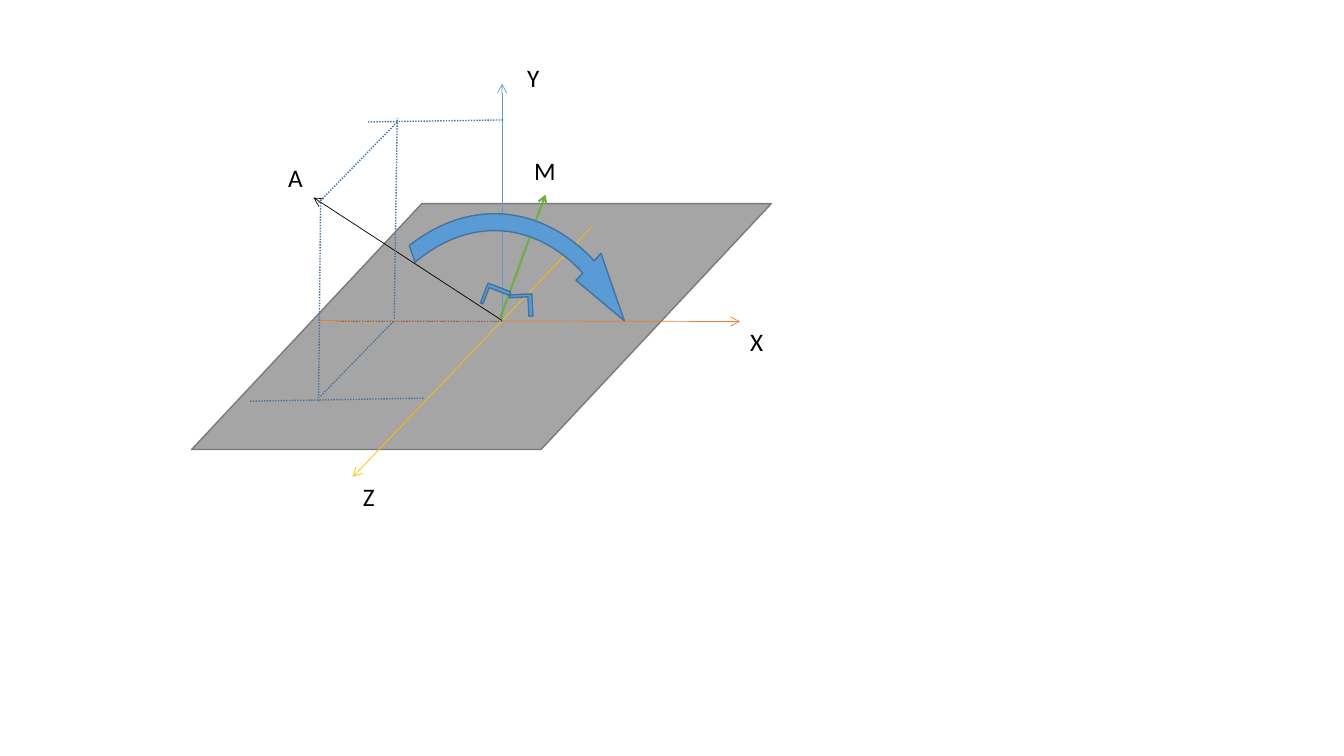
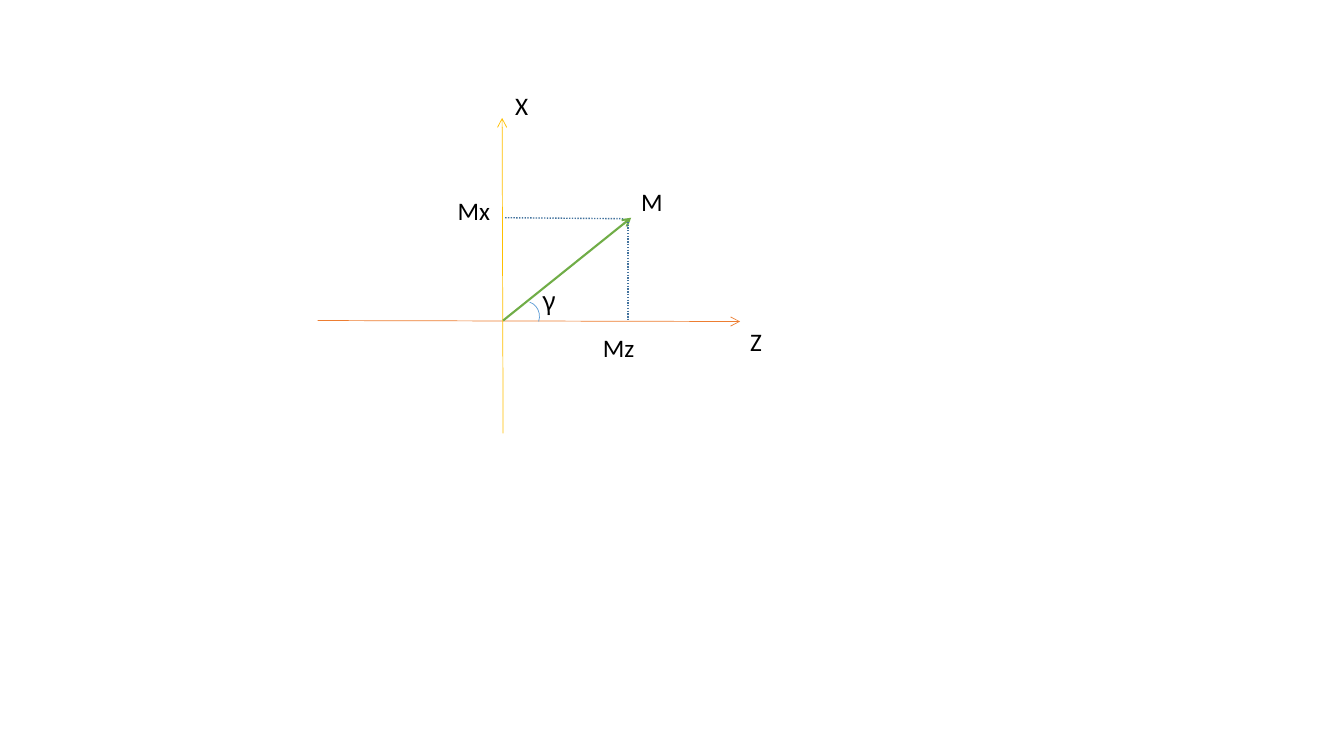
"""Two diagrams: a vector turned in space, and its flat projection."""
from lxml import etree
from pptx import Presentation
from pptx.dml.color import RGBColor
from pptx.enum.dml import MSO_LINE
from pptx.enum.shapes import MSO_CONNECTOR, MSO_SHAPE
from pptx.enum.text import MSO_AUTO_SIZE
from pptx.oxml.ns import qn
from pptx.util import Inches, Pt

STRAIGHT = MSO_CONNECTOR.STRAIGHT
DOTS = MSO_LINE.ROUND_DOT
PLANE = MSO_SHAPE.PARALLELOGRAM
TURN = MSO_SHAPE.CIRCULAR_ARROW
CORNER = MSO_SHAPE.CORNER
ARC = MSO_SHAPE.ARC
FIT = MSO_AUTO_SIZE.SHAPE_TO_FIT_TEXT

WIDE, HIGH = 13.33, 7.5
COLS, ROWS = 13.33, 7.5  # square grid, one cell per inch
THIN, FINE, BOLD = 0.5, 1, 1.5
ROW = 0.4
NARROW, BROAD = 0.51, 0.58
ORIGIN = (4.98, 3.18)
FLAT = ((3.15, 3.18), (7.34, 3.19))

COLORS = {
    "ink": "000000",
    "blue": "5B9BD5",
    "navy": "43739E",
    "orange": "ED7D31",
    "gold": "FFC000",
    "green": "70AD47",
    "gray": "A5A5A5",
    "edge": "7A7A7A",
}


def rgb(name):
    """Give the named colour."""
    return RGBColor.from_string(COLORS[name])


def grid(col, row):
    """Turn a grid point into slide lengths."""
    return Inches(col * WIDE / COLS), Inches(row * HIGH / ROWS)


def stroke(line, color, width):
    """Set the colour and width of a line."""
    line.color.rgb = rgb(color)
    line.width = Pt(width)


def link(slide, start, end, color, width):
    """Draw a straight line without a shadow."""
    item = slide.shapes.add_connector(STRAIGHT, *grid(*start), *grid(*end))
    stroke(item.line, color, width)
    etree.SubElement(item._element.spPr, qn("a:effectLst"))
    return item


def arrow(slide, start, end, color, width=THIN):
    """Draw a line with an open head at its end."""
    item = link(slide, start, end, color, width)
    tail = etree.SubElement(item.line._get_or_add_ln(), qn("a:tailEnd"))
    tail.set("type", "arrow")


def guide(slide, start, end):
    """Draw a dotted guide line."""
    link(slide, start, end, "navy", FINE).line.dash_style = DOTS


def label(slide, text, col, row, width=NARROW, font="Calibri"):
    """Write a short name beside a point."""
    box = slide.shapes.add_textbox(*grid(col, row), *grid(width, ROW))
    frame = box.text_frame
    frame.word_wrap = True
    frame.auto_size = FIT
    para = frame.paragraphs[0]
    para.text = text
    para.font.name = font
    para.font.size = Pt(18)
    para.font.color.rgb = rgb("ink")


def shape(slide, kind, at, fill, edge, width=FINE, adj=(), turn=0):
    """Draw a preset shape, filled or open."""
    item = slide.shapes.add_shape(kind, *grid(*at[:2]), *grid(*at[2:]))
    item.shadow.inherit = False
    item.rotation = turn
    for spot, value in enumerate(adj):
        item.adjustments[spot] = value
    if fill:
        item.fill.solid()
        item.fill.fore_color.rgb = rgb(fill)
    else:
        item.fill.background()
    stroke(item.line, edge, width)
    return item


def corner(slide, at, turn):
    """Draw a right angle mark."""
    shape(slide, CORNER, at, "blue", "navy", adj=(0.127, 0.181), turn=turn)


def space(slide):
    """Draw the vector A, the axis M and the plane in space."""
    shape(slide, PLANE, (1.9, 2.02, 5.75, 2.44), "gray", "edge", adj=(0.936,))
    arrow(slide, ORIGIN, (4.98, 0.83), "blue")
    arrow(slide, *FLAT, "orange")
    arrow(slide, (5.87, 2.25), (3.5, 4.73), "gold")
    label(slide, "Y", 5.13, 0.57)
    label(slide, "X", 7.34, 3.19)
    label(slide, "Z", 3.5, 4.73)
    arrow(slide, ORIGIN, (3.11, 1.96), "ink")
    label(slide, "A", 2.76, 1.56, 4.44)
    arrow(slide, (4.96, 3.16), (5.41, 1.93), "green", BOLD)
    for ends in (
        ((2.48, 3.98), (4.21, 3.95)),
        ((3.16, 3.98), (3.18, 1.98)),
        ((3.65, 1.21), (4.99, 1.19)),
        ((3.91, 3.16), (3.94, 1.17)),
        ((3.34, 3.19), (4.98, 3.19)),
        ((3.16, 2.01), (3.94, 1.21)),
        ((3.18, 3.93), (3.91, 3.18)),
    ):
        guide(slide, *ends)
    label(slide, "M", 5.2, 1.49, BROAD)
    corner(slide, (5.06, 2.92, 0.22, 0.22), 177)
    sweep = shape(slide, TURN, (3.01, 2.02, 3.65, 5.25), "blue", "navy",
                  adj=(0.046, 9.743, 176.181, 148.588, 0.05), turn=183)
    frame = sweep._element.spPr.find(qn("a:xfrm"))
    frame.set("flipH", "1")
    frame.set("flipV", "1")
    corner(slide, (4.81, 2.83, 0.21, 0.24), 111)


def flat(slide):
    """Draw the projection of M and its angle."""
    arrow(slide, *FLAT, "orange")
    arrow(slide, (4.99, 4.3), (4.98, 1.17), "gold")
    label(slide, "X", 5.01, 0.85)
    label(slide, "Z", 7.34, 3.19)
    arrow(slide, (4.99, 3.18), (6.26, 2.16), "green", BOLD)
    guide(slide, (5.01, 2.16), (6.18, 2.17))
    label(slide, "M", 6.26, 1.8, BROAD)
    label(slide, "Mx", 4.44, 1.89, BROAD)
    label(slide, "Mz", 5.88, 3.25, BROAD)
    guide(slide, (6.23, 2.2), (6.23, 3.18))
    label(slide, "γ", 5.28, 2.78, font="Noto Sans CJK SC")
    shape(slide, ARC, (5.06, 2.99, 0.29, 0.31), None, "blue", THIN, turn=18)


def main():
    """Build and save both slides."""
    deck = Presentation()
    deck.slide_width, deck.slide_height = Inches(WIDE), Inches(HIGH)
    for draw in (space, flat):
        draw(deck.slides.add_slide(deck.slide_layouts[6]))
    deck.save("out.pptx")


main()
